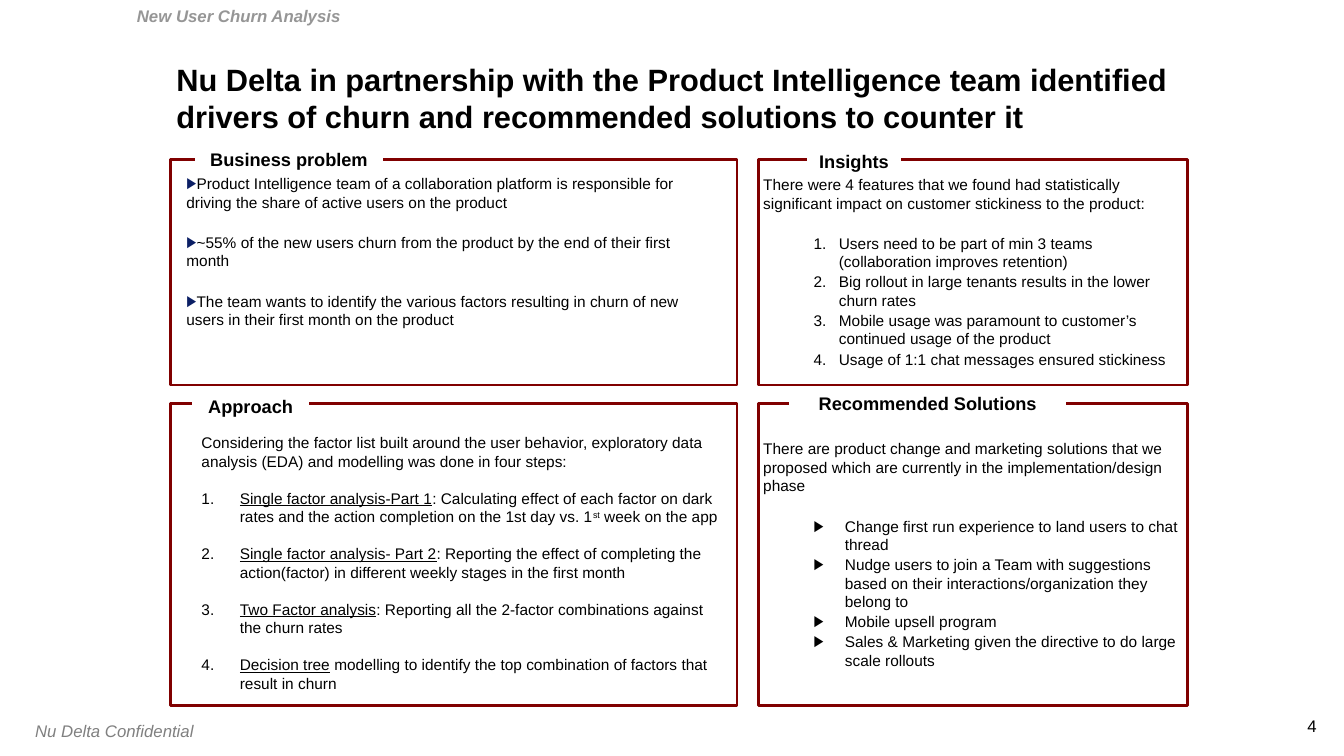
"""Build the churn analysis summary slide with four titled panels."""
from lxml import etree
from pptx import Presentation
from pptx.dml.color import RGBColor
from pptx.enum.shapes import MSO_SHAPE
from pptx.enum.text import MSO_ANCHOR, PP_ALIGN
from pptx.oxml.ns import qn
from pptx.util import Inches, Pt

RECTANGLE = MSO_SHAPE.RECTANGLE
TOP, MIDDLE, BOTTOM = MSO_ANCHOR.TOP, MSO_ANCHOR.MIDDLE, MSO_ANCHOR.BOTTOM
LEFT, CENTER, RIGHT = PP_ALIGN.LEFT, PP_ALIGN.CENTER, PP_ALIGN.RIGHT
FONT = "Arial"
BLACK, WHITE, MAROON, NAVY = "000000", "FFFFFF", "800000", "0B1F65"
GRAY, LIGHT_GRAY = "808080", "969696"
TIGHT, BLANK_LINE, WIDE = 1.1, 13.2, 15.5
DEFAULT_INSETS = (0.1, 0.05, 0.1, 0.05)
PANEL_INSETS = (0.05, 0.16, 0, 0.05)
NO_INSETS = (0, 0, 0, 0)

HEADER = "New User Churn Analysis"
TITLE = ("Nu Delta in partnership with the Product Intelligence team identified "
         "drivers of churn and recommended solutions to counter it")
FOOTER = "Nu Delta Confidential"
PAGE_NUMBER = "4"

PROBLEMS = [
    "Product Intelligence team of a collaboration platform is responsible for "
    "driving the share of active users on the product",
    "~55% of the new users churn from the product by the end of their first month",
    "The team wants to identify the various factors resulting in churn of new users "
    "in their first month on the product",
]
INSIGHTS_INTRO = ("There were 4 features that we found had statistically significant "
                  "impact on customer stickiness to the product:")
INSIGHTS = [
    "Users need to be part of min 3 teams (collaboration improves retention)",
    "Big rollout in large tenants results in the lower churn rates",
    "Mobile usage was paramount to customer’s continued usage of the product",
    "Usage of 1:1 chat messages ensured stickiness",
]
SOLUTIONS_INTRO = ("There are product change and marketing solutions that we proposed "
                   "which are currently in the implementation/design phase")
SOLUTIONS = [
    "Change first run experience to land users to chat thread",
    "Nudge users to join a Team with suggestions based on their "
    "interactions/organization they belong to",
    "Mobile upsell program",
    "Sales & Marketing given the directive to do large scale rollouts",
]
APPROACH_INTRO = ("Considering the factor list built around the user behavior, exploratory "
                  "data analysis (EDA) and modelling was done in four steps:")
APPROACH = [
    [("Single factor analysis-Part 1", "underline"),
     (": Calculating effect of each factor on dark rates and the action completion "
      "on the 1st day vs. 1", ""), ("st", "superscript"), (" week on the app", "")],
    [("Single factor analysis- Part 2", "underline"),
     (": Reporting the effect of completing the action(factor) in different weekly "
      "stages in the first month", "")],
    [("Two Factor analysis", "underline"),
     (": Reporting all the 2-factor combinations against the churn rates", "")],
    [("Decision tree", "underline"),
     (" modelling to identify the top combination of factors that result in churn", "")],
]

COLUMNS = {"left": (1.69, 5.62), "right": (7.52, 4.26)}
ROWS = {"upper": (1.58, 2.24), "lower": (4, 3)}
PANELS = [
    ("left", "upper", "Business problem", (1.94, 1.48, 1.85, 0.19)),
    ("right", "upper", "Insights", (8.01, 1.52, 0.92, 0.16)),
    ("right", "lower", "Recommended Solutions", (7.83, 3.98, 2.74, 0.05)),
    ("left", "lower", "Approach", (1.91, 3.93, 1.15, 0.19)),
]


def rgb(value):
    return RGBColor.from_string(value)


def add_box(slide, bounds, line_color, line_width):
    shape = slide.shapes.add_shape(RECTANGLE, *map(Inches, bounds))
    shape.shadow.inherit = False
    shape.fill.solid()
    shape.fill.fore_color.rgb = rgb(WHITE)
    shape.line.color.rgb = rgb(line_color)
    shape.line.width = Pt(line_width)
    return shape


def add_textbox(slide, bounds):
    return slide.shapes.add_textbox(*map(Inches, bounds))


def set_bullet(paragraph, bullet, color, margin, hanging):
    properties = paragraph._p.get_or_add_pPr()
    properties.set("marL", str(Inches(margin)))
    properties.set("indent", str(-Inches(hanging)))
    if bullet == "number":
        etree.SubElement(properties, qn("a:buAutoNum"), type="arabicPeriod")
        return
    bullet_color = etree.SubElement(properties, qn("a:buClr"))
    etree.SubElement(bullet_color, qn("a:srgbClr"), val=color)
    etree.SubElement(properties, qn("a:buFont"), typeface=FONT)
    etree.SubElement(properties, qn("a:buChar"), char=bullet)


def write_text(shape, items, size=11, color=BLACK, bold=False, italic=False,
               align=LEFT, anchor=TOP, insets=DEFAULT_INSETS, wrap=True,
               intro=None, gap=0, first_gap=0, bullet=None, bullet_color=BLACK,
               margin=0, hanging=0):
    frame = shape.text_frame
    frame.word_wrap = wrap
    frame.vertical_anchor = anchor
    frame.margin_left, frame.margin_top, frame.margin_right, frame.margin_bottom = map(
        Inches, insets)
    entries = [(item, bullet, gap if index else first_gap)
               for index, item in enumerate(items)]
    if intro:
        entries.insert(0, (intro, None, 0))
    for index, (content, marker, space) in enumerate(entries):
        paragraph = frame.add_paragraph() if index else frame.paragraphs[0]
        paragraph.alignment = align
        paragraph.space_before = Pt(space)
        if marker:
            set_bullet(paragraph, marker, bullet_color, margin, hanging)
        runs = [(content, "")] if isinstance(content, str) else content
        for text, style in runs:
            run = paragraph.add_run()
            run.text = text
            font = run.font
            font.name, font.size, font.bold, font.italic = FONT, Pt(size), bold, italic
            font.color.rgb = rgb(color)
            if style == "underline":
                font.underline = True
            elif style == "superscript":
                run._r.get_or_add_rPr().set("baseline", "30000")


def main():
    presentation = Presentation()
    presentation.slide_width, presentation.slide_height = Inches(13.33), Inches(7.5)
    slide = presentation.slides.add_slide(presentation.slide_layouts[6])

    write_text(add_textbox(slide, (12.85, 7.1, 0.21, 0.2)), [PAGE_NUMBER], size=12,
               align=RIGHT, insets=NO_INSETS, wrap=False)
    write_text(add_textbox(slide, (0.25, 7.1, 2.46, 0.3)), [FOOTER], size=12,
               color=GRAY, italic=True)
    write_text(add_textbox(slide, (1.75, 0.42, 10.03, 0.92)), [TITLE], size=22,
               bold=True, anchor=BOTTOM, insets=NO_INSETS)
    write_text(add_textbox(slide, (1.26, 0.01, 2.24, 0.3)), [HEADER], size=12,
               color=LIGHT_GRAY, bold=True, italic=True, wrap=False)

    frames = {}
    for column, row, heading, label_bounds in PANELS:
        (left, width), (top, height) = COLUMNS[column], ROWS[row]
        frames[heading] = add_box(slide, (left, top, width, height), MAROON, 2)
        label = add_box(slide, label_bounds, WHITE, 0.75)
        write_text(label, [heading], size=13, bold=True, align=CENTER, anchor=MIDDLE,
                   insets=NO_INSETS, first_gap=TIGHT)

    write_text(frames["Insights"], INSIGHTS, intro=INSIGHTS_INTRO, insets=PANEL_INSETS,
               gap=TIGHT, first_gap=WIDE, bullet="number", margin=0.75, hanging=0.25)
    write_text(frames["Recommended Solutions"], SOLUTIONS, intro=SOLUTIONS_INTRO,
               insets=(0.05, 0.36, 0, 0.05), gap=TIGHT, first_gap=WIDE, bullet="▶",
               margin=0.81, hanging=0.31)
    write_text(add_textbox(slide, (1.75, 1.68, 5.41, 1.66)), PROBLEMS, gap=WIDE,
               bullet="▶", bullet_color=NAVY)
    write_text(add_textbox(slide, (1.9, 4.25, 5.41, 2.69)), APPROACH,
               intro=APPROACH_INTRO, gap=BLANK_LINE, first_gap=BLANK_LINE,
               bullet="number", margin=0.38, hanging=0.38)
    presentation.save("out.pptx")


if __name__ == "__main__":
    main()
